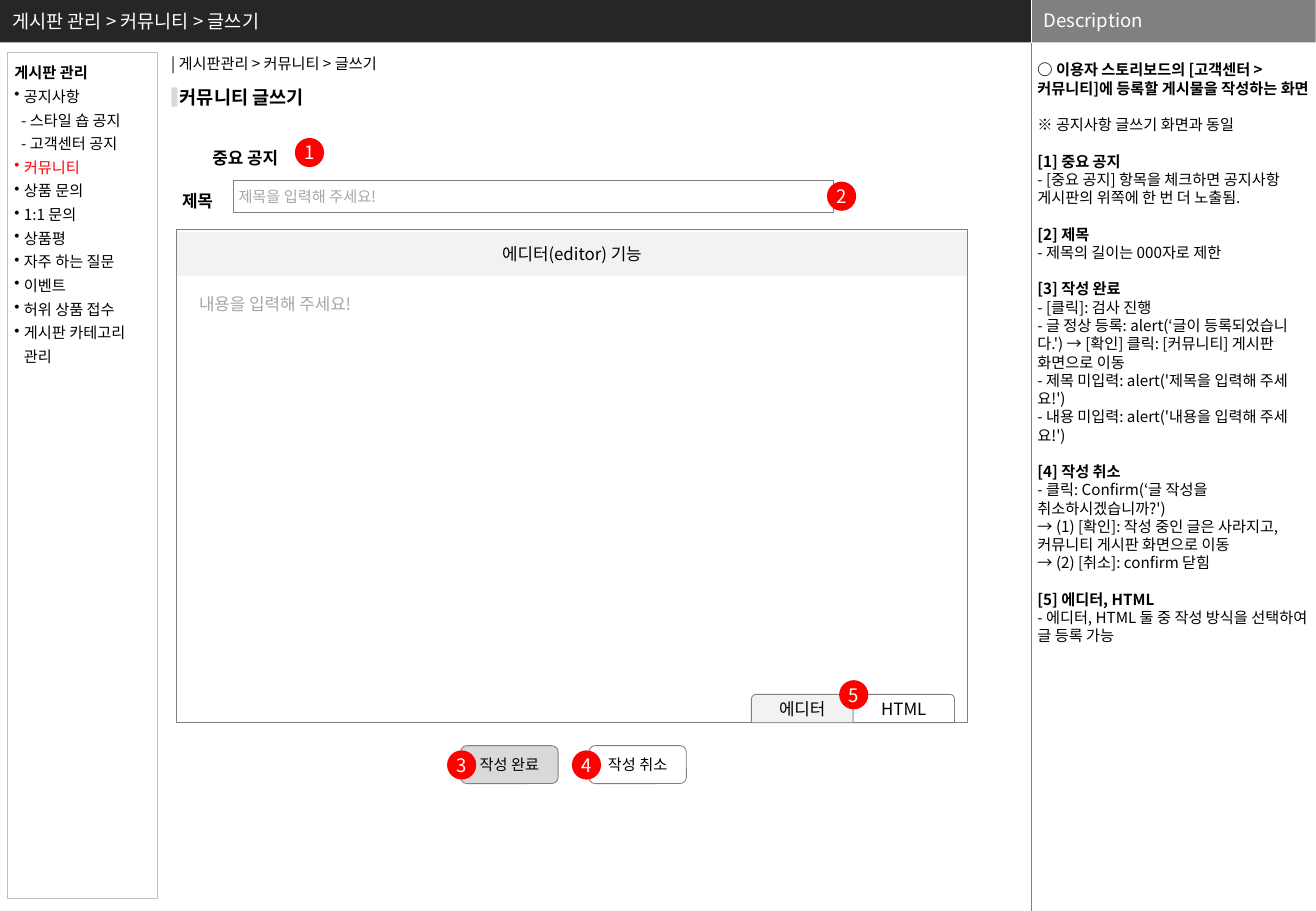
from pptx import Presentation
from pptx.dml.color import RGBColor
from pptx.enum.shapes import MSO_CONNECTOR, MSO_SHAPE
from pptx.enum.text import MSO_ANCHOR, MSO_AUTO_SIZE, PP_ALIGN
from pptx.oxml.ns import qn
from pptx.util import Pt
from lxml.etree import SubElement

FONT = "Noto Sans CJK KR"
COLORS = {
    "black": "000000", "white": "FFFFFF", "red": "FF0000", "header": "262626",
    "gray": "808080", "rule": "7F7F7F", "border": "BFBFBF", "hint": "A6A6A6",
    "button": "D9D9D9", "panel": "F2F2F2",
}
HEADER_H = 25.2
SPLIT_X = 611.3
LINE = 10.8

MENU = ["공지사항", "- 스타일 숍 공지", "- 고객센터 공지", "커뮤니티", "상품 문의", "1:1 문의", "상품평",
        "자주 하는 질문", "이벤트", "허위 상품 접수", "게시판 카테고리\v관리"]

NOTES = [
    ("○ 이용자 스토리보드의 [고객센터 > 커뮤니티]에 등록할 게시물을 작성하는 화면", []),
    (None, ["※ 공지사항 글쓰기 화면과 동일"]),
    ("[1] 중요 공지", ["- [중요 공지] 항목을 체크하면 공지사항 게시판의 위쪽에 한 번 더 노출됨."]),
    ("[2] 제목", ["- 제목의 길이는 000자로 제한"]),
    ("[3] 작성 완료", [
        "- [클릭]: 검사 진행",
        "- 글 정상 등록: alert(‘글이 등록되었습니다.') → [확인] 클릭: [커뮤니티] 게시판 화면으로 이동",
        "- 제목 미입력: alert('제목을 입력해 주세요!')",
        "- 내용 미입력: alert('내용을 입력해 주세요!')"]),
    ("[4] 작성 취소", [
        "- 클릭: Confirm(‘글 작성을 취소하시겠습니까?')",
        "→ (1) [확인]: 작성 중인 글은 사라지고, 커뮤니티 게시판 화면으로 이동",
        "→ (2) [취소]: confirm 닫힘"]),
    ("[5] 에디터, HTML", ["- 에디터, HTML 둘 중 작성 방식을 선택하여 글 등록 가능"]),
]


def rgb(name):
    return RGBColor.from_string(COLORS[name])


class Screen:
    def __init__(self, width, height):
        self.prs = Presentation()
        self.prs.slide_width, self.prs.slide_height = Pt(width), Pt(height)
        self.s = self.prs.slides.add_slide(self.prs.slide_layouts[1])

    def frame(self, sp, inset=(7.2, 3.6, 7.2, 3.6), anchor=MSO_ANCHOR.TOP):
        tf = sp.text_frame
        left, top, right, bottom = map(Pt, inset)
        fmt = {"word_wrap": True, "auto_size": MSO_AUTO_SIZE.NONE, "vertical_anchor": anchor,
               "margin_left": left, "margin_top": top, "margin_right": right, "margin_bottom": bottom}
        for key, value in fmt.items():
            setattr(tf, key, value)
        return tf

    def para(self, tf, text, size=9, color="black", bold=False, align=PP_ALIGN.LEFT,
             before=0, spacing=None, margin=0, bullet=None):
        p = tf.paragraphs[0] if not tf.text else tf.add_paragraph()
        p.text = text
        fmt = {"alignment": align, "space_before": Pt(before), "line_spacing": spacing}
        for key, value in fmt.items():
            setattr(p, key, value)
        pPr = p._p.get_or_add_pPr()
        pPr.set("marL", str(Pt(margin)))
        pPr.set("indent", str(-Pt(margin) if bullet else 0))
        if bullet:
            SubElement(pPr, qn("a:buChar")).set("char", bullet)
        else:
            SubElement(pPr, qn("a:buNone"))
        for r in p.runs:
            for key, value in {"size": Pt(size), "bold": bold, "name": FONT}.items():
                setattr(r.font, key, value)
            r.font.color.rgb = rgb(color)
            SubElement(r._r.get_or_add_rPr(), qn("a:ea")).set("typeface", FONT)

    def placeholder(self, index, x, y, w, h, **frame):
        sp = self.s.placeholders[index]
        for key, value in {"left": x, "top": y, "width": w, "height": h}.items():
            setattr(sp, key, Pt(value))
        self.s.shapes._spTree.append(sp._element)
        return self.frame(sp, **frame)

    def label(self, x, y, w, h, text, inset=(7.2, 3.6, 7.2, 3.6), anchor=MSO_ANCHOR.TOP, **fmt):
        sp = self.s.shapes.add_textbox(*map(Pt, (x, y, w, h)))
        self.para(self.frame(sp, inset, anchor), text, **fmt)

    def box(self, x, y, w, h, fill=None, line=None, weight=0.5, kind=MSO_SHAPE.RECTANGLE,
            text=None, inset=(2.88,) * 4, align=PP_ALIGN.CENTER, **fmt):
        sp = self.s.shapes.add_shape(kind, *map(Pt, (x, y, w, h)))
        sp.shadow.inherit = False
        if fill:
            sp.fill.solid()
            sp.fill.fore_color.rgb = rgb(fill)
        else:
            sp.fill.background()
        if line:
            sp.line.color.rgb = rgb(line)
            sp.line.width = Pt(weight)
        else:
            sp.line.fill.background()
        if text:
            self.para(self.frame(sp, inset, MSO_ANCHOR.MIDDLE), text, align=align, **fmt)
        return sp

    def badge(self, number, x, y):
        self.box(x, y, 17.3, 17.3, "red", kind=MSO_SHAPE.OVAL, text=str(number),
                 inset=(0,) * 4, size=11, color="white")

    def rule(self, x, top, bottom, color):
        c = self.s.shapes.add_connector(MSO_CONNECTOR.STRAIGHT, *map(Pt, (x, top, x, bottom)))
        c.line.color.rgb = rgb(color)
        c.line.width = Pt(0.25)
        SubElement(c._element.spPr, qn("a:effectLst"))


def header(scr):
    scr.box(0, 0, SPLIT_X, HEADER_H, "header")
    scr.box(SPLIT_X, 0, 168.5, HEADER_H, "gray")
    scr.rule(SPLIT_X, 0, HEADER_H, "white")
    scr.rule(SPLIT_X, HEADER_H, 540, "rule")
    scr.label(SPLIT_X, -0.7, 168.5, HEADER_H, "Description", anchor=MSO_ANCHOR.MIDDLE,
              size=11, color="white")
    tf = scr.placeholder(0, 0, 0, 594, HEADER_H, anchor=MSO_ANCHOR.MIDDLE)
    scr.para(tf, "게시판 관리 > 커뮤니티 > 글쓰기", size=11, color="white")


def description(scr):
    tf = scr.placeholder(1, 612, HEADER_H + LINE, 168, 504, inset=(2.88, 0, 2.88, 0))
    for head, lines in NOTES:
        gap = LINE if tf.text else 0
        if head:
            scr.para(tf, head, bold=True, before=gap)
            gap = 0
        for i, text in enumerate(lines):
            scr.para(tf, text, before=0 if i else gap)


def sidebar(scr):
    sp = scr.box(4.3, 31, 89.3, 501.8, line="border", weight=0.75)
    tf = scr.frame(sp, inset=(4.3, 3.6, 0, 3.6))
    scr.para(tf, "게시판 관리", bold=True, spacing=Pt(14))
    for text in MENU:
        sub = text.startswith("-")
        scr.para(tf, text, color="red" if text == "커뮤니티" else "black", spacing=Pt(14),
                 margin=4 if sub else 5.6, bullet=None if sub else "•")


def editor(scr):
    scr.label(94.3, 28.8, 154, 18, "| 게시판관리 > 커뮤니티 > 글쓰기")
    scr.label(106.6, 51.1, 81.4, 13.7, "커뮤니티 글쓰기", inset=(0,) * 4, size=11, bold=True)
    scr.box(101.5, 51.8, 3.6, 11.5, "button")
    scr.label(118.8, 77.8, 58.3, 23, "중요 공지", size=10, bold=True, spacing=1.5)
    scr.label(100.8, 103.7, 34.6, 23, "제목", size=10, bold=True, spacing=1.5)
    scr.box(138.5, 106.8, 355.7, 19.2, line="gray", text="제목을 입력해 주세요!",
            align=PP_ALIGN.LEFT, color="hint")
    scr.box(104.5, 136.1, 468.7, 292.3, line="gray")
    scr.box(105, 137.5, 468, 25.9, "panel", text="에디터(editor) 기능", size=10)
    scr.label(110.9, 170.6, 115.2, 19.4, "내용을 입력해 주세요!", size=10, color="hint")
    for x, fill, text in [(505.6, None, "HTML"), (445.4, "panel", "에디터")]:
        scr.box(x, 411.6, 60.2, 16.8, fill, "gray", kind=MSO_SHAPE.ROUND_2_SAME_RECTANGLE,
                text=text, size=10)
    for x, fill, text in [(273, "button", "작성 완료"), (349, "white", "작성 취소")]:
        scr.box(x, 442, 57.8, 22.5, fill, "gray", kind=MSO_SHAPE.ROUNDED_RECTANGLE, text=text)
    spots = [(174.8, 81.8), (490.2, 107.7), (265, 444.8), (339, 444.8), (497.4, 403.2)]
    for number, (x, y) in enumerate(spots, 1):
        scr.badge(number, x, y)


def main():
    scr = Screen(780, 540)
    header(scr)
    description(scr)
    sidebar(scr)
    editor(scr)
    scr.prs.save("out.pptx")


if __name__ == "__main__":
    main()
